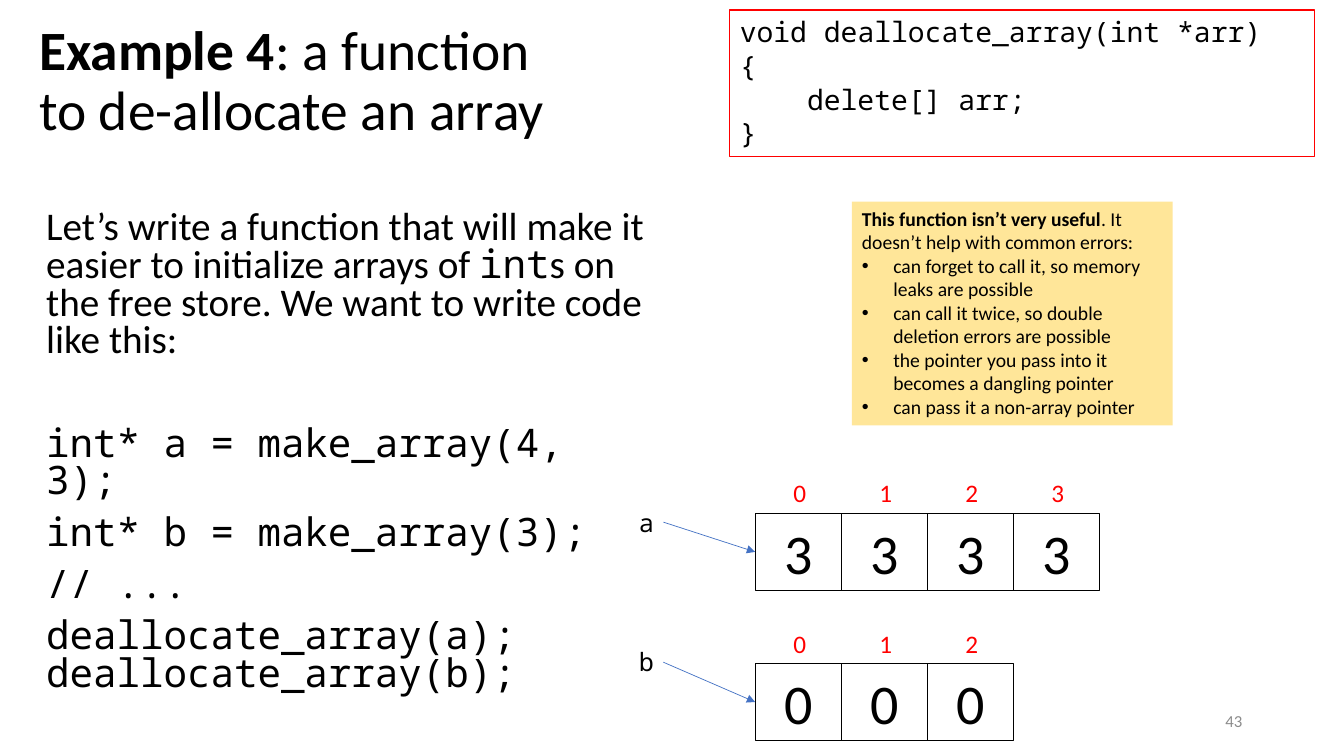
"""Build a slide about a function that de-allocates an array."""
import pptx
import pptx.dml.color
import pptx.enum.shapes
import pptx.enum.text
import pptx.oxml.ns
import pptx.util
from lxml import etree

BLACK = pptx.dml.color.RGBColor(0x00, 0x00, 0x00)
RED = pptx.dml.color.RGBColor(0xFF, 0x00, 0x00)
GRAY = pptx.dml.color.RGBColor(0x8C, 0x8C, 0x8C)
BLUE = pptx.dml.color.RGBColor(0x44, 0x72, 0xC4)
YELLOW = pptx.dml.color.RGBColor(0xFF, 0xE6, 0x99)
SANS = "Calibri"
MONO = "Noto Sans Mono"
ALIGN = pptx.enum.text.PP_ALIGN
ANCHOR = pptx.enum.text.MSO_ANCHOR
qn = pptx.oxml.ns.qn

presentation = pptx.Presentation()
presentation.slide_width = pptx.util.Inches(13.33)
presentation.slide_height = pptx.util.Inches(7.5)
COLUMN = presentation.slide_width / 100
ROW = presentation.slide_height / 100
slide = presentation.slides.add_slide(presentation.slide_layouts[6])


def add_box(left, top, width, height, fill=None, line=None, anchor=ANCHOR.TOP, wrap=True):
    """Add a text box, or a rectangle if it has a fill or line, on the 100 by 100 grid."""
    place = [int(left * COLUMN), int(top * ROW), int(width * COLUMN), int(height * ROW)]
    if fill is None and line is None:
        shape = slide.shapes.add_textbox(*place)
    else:
        shape = slide.shapes.add_shape(pptx.enum.shapes.MSO_SHAPE.RECTANGLE, *place)
        shape.shadow.inherit = False
        if fill is None:
            shape.fill.background()
        else:
            shape.fill.solid()
            shape.fill.fore_color.rgb = fill
        if line is None:
            shape.line.fill.background()
        else:
            shape.line.color.rgb = line
            shape.line.width = pptx.util.Pt(0.75)
    shape.text_frame.word_wrap = wrap
    shape.text_frame.vertical_anchor = anchor
    return shape.text_frame


def add_text(frame, paragraphs, size, font=SANS, color=BLACK, align=ALIGN.LEFT):
    """Write paragraphs, each a list of (text, font, bold) runs or one plain string."""
    for number, runs in enumerate(paragraphs):
        paragraph = frame.add_paragraph() if number else frame.paragraphs[0]
        paragraph.alignment = align
        for text, run_font, bold in [(runs, font, False)] if isinstance(runs, str) else runs:
            if text == "\n":
                paragraph.add_line_break()
                continue
            run = paragraph.add_run()
            run.text = text
            run.font.name = run_font
            run.font.size = pptx.util.Pt(size)
            run.font.bold = bold
            run.font.color.rgb = color
    return frame.paragraphs


title = add_text(add_box(2.18, 1.2, 40.8, 19.33, anchor=ANCHOR.MIDDLE), [
    [("Example 4", SANS, True), (": a function to de-allocate an array", SANS, False)],
], 39.6)
title[0].line_spacing = 0.9

body = add_text(add_box(2.7, 27.2, 46.66, 63.47), [
    [("Let’s write a function that will make it easier to initialize arrays of ", SANS, False),
     ("int", MONO, False),
     ("s on the free store. We want to write code like this:", SANS, False)],
    "int* a = make_array(4, 3);",
    "int* b = make_array(3);",
    "// ...",
    [("deallocate_array(a);", MONO, False), ("\n", MONO, False),
     ("deallocate_array(b);", MONO, False)],
], 28, MONO)
for paragraph in body:
    paragraph.line_spacing = 0.8
    paragraph.space_before = pptx.util.Pt(10)
body[1].space_before = pptx.util.Pt(47)

add_text(add_box(70.67, 92.67, 22.5, 5.33, anchor=ANCHOR.MIDDLE), ["43"], 12,
         color=GRAY, align=ALIGN.RIGHT)

ARRAY_LEFT, CELL_WIDTH, CELL_HEIGHT, LABEL_HEIGHT = 56.19, 6.4, 10.27, 5.33
arrays = [
    ("a", ["3"] * 4, 67.87, 66.4, 69.07),
    ("b", ["0"] * 3, 87.73, 84.8, 87.6),
]
for name, values, cell_top, name_top, arrow_top in arrays:
    for index, value in enumerate(values):
        cell_left = ARRAY_LEFT + index * CELL_WIDTH
        cell = add_box(cell_left, cell_top, CELL_WIDTH, CELL_HEIGHT, line=BLACK)
        add_text(cell, [value], 40, align=ALIGN.CENTER)
        label = add_box(cell_left + 2.1, cell_top - LABEL_HEIGHT, 2.5, LABEL_HEIGHT, wrap=False)
        add_text(label, [str(index)], 18, color=RED)
    add_text(add_box(46.8, name_top, 2.55, LABEL_HEIGHT, wrap=False), [name], 18, MONO)
    arrow = slide.shapes.add_connector(
        pptx.enum.shapes.MSO_CONNECTOR.STRAIGHT,
        int(49.36 * COLUMN), int(arrow_top * ROW),
        int(ARRAY_LEFT * COLUMN), int((cell_top + CELL_HEIGHT / 2) * ROW))
    arrow.line.color.rgb = BLUE
    arrow.line.width = pptx.util.Pt(0.5)
    etree.SubElement(arrow.line._get_or_add_ln(), qn("a:tailEnd"), type="triangle")
    etree.SubElement(arrow._element.spPr, qn("a:effectLst"))

code = add_text(add_box(54.31, 1.33, 43.51, 19.33, line=RED), [
    "void deallocate_array(int *arr)",
    "{",
    "delete[] arr;",
    "}",
], 20, MONO)
code[2]._p.get_or_add_pPr().set("marL", str(int(5 * COLUMN)))

note = add_text(add_box(63.39, 26.67, 23.86, 29.6, fill=YELLOW), [
    [("This function isn’t very useful", SANS, True),
     (". It doesn’t help with common errors:", SANS, False)],
    "can forget to call it, so memory leaks are possible",
    "can call it twice, so double deletion errors are possible",
    "the pointer you pass into it becomes a dangling pointer",
    "can pass it a non-array pointer",
], 14)
for paragraph in note[1:]:
    properties = paragraph._p.get_or_add_pPr()
    indent = int(2.34 * COLUMN)
    properties.set("marL", str(indent))
    properties.set("indent", str(-indent))
    etree.SubElement(properties, qn("a:buFont"), typeface="Arial")
    etree.SubElement(properties, qn("a:buChar"), char="•")

presentation.save("out.pptx")
